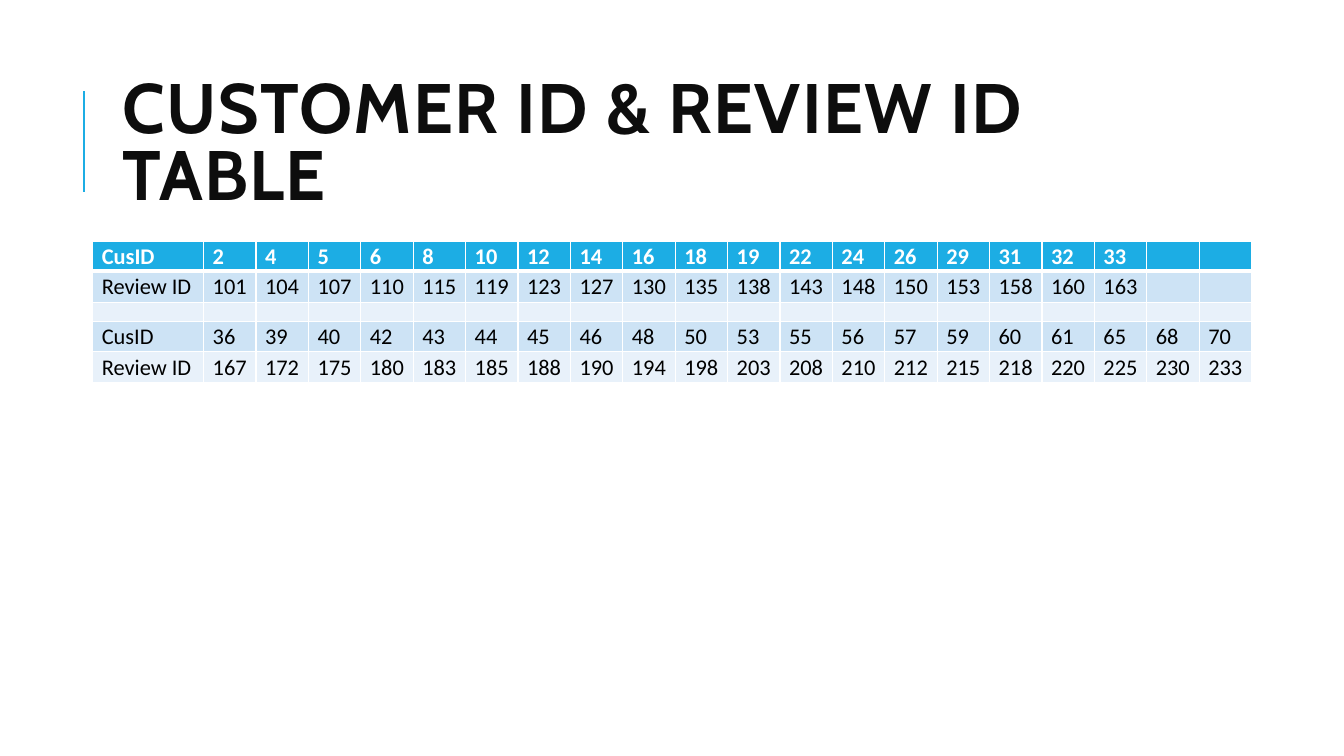
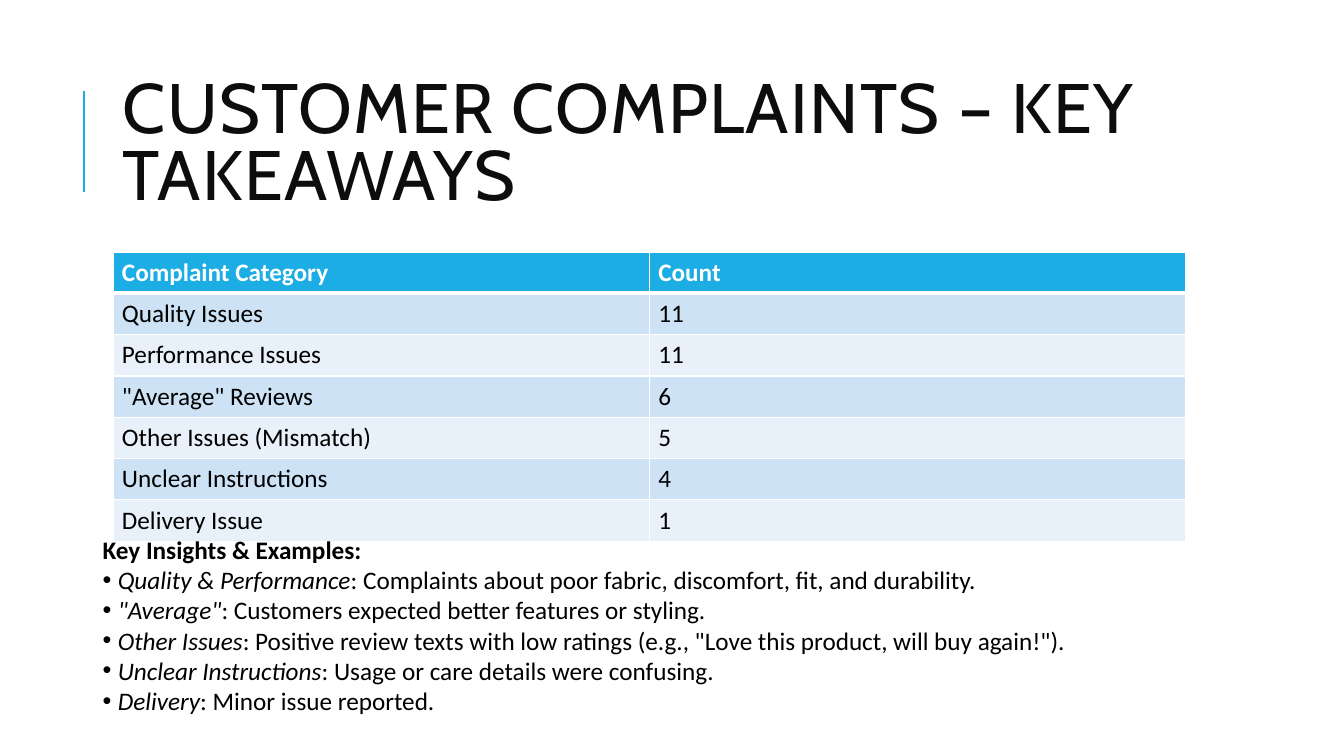
import dataclasses

import lxml.etree
import pptx
import pptx.dml.color
import pptx.enum.shapes
import pptx.enum.text
import pptx.oxml.ns
import pptx.util

Inches = pptx.util.Inches
Pt = pptx.util.Pt
qn = pptx.oxml.ns.qn
MIDDLE = pptx.enum.text.MSO_ANCHOR.MIDDLE


def rgb(value):
    return pptx.dml.color.RGBColor.from_string(value)


@dataclasses.dataclass(frozen=True)
class Theme:
    accent: str = "1CADE4"
    title_ink: str = "0D0D0D"
    ink: str = "000000"
    white: str = "FFFFFF"
    bands: tuple = ("CDE3F5", "E8F1FA")
    title_font: str = "Cabin"
    body_font: str = "Calibri"
    title_size: int = 50
    body_size: int = 18
    dense_size: int = 16
    empty_size: int = 10
    rule: float = 1.5
    grid: float = 1
    header_rule: float = 3


class Deck:
    def __init__(self, theme):
        self.theme = theme
        self.deck = pptx.Presentation()
        self.deck.slide_width = Inches(13.33)
        self.deck.slide_height = Inches(7.5)
        self.page = None

    def add_page(self, title, bold=False):
        """Start a slide with the shared accent rule and title."""
        theme = self.theme
        self.page = self.deck.slides.add_slide(self.deck.slide_layouts[6])
        rule = self.page.shapes.add_connector(
            pptx.enum.shapes.MSO_CONNECTOR.STRAIGHT,
            Inches(0.83), Inches(1.9), Inches(0.83), Inches(0.9))
        rule.line.color.rgb = rgb(theme.accent)
        rule.line.width = Pt(theme.rule)
        lxml.etree.SubElement(rule.element.spPr, qn("a:effectLst"))

        box = self.add_box(1.12, 0.64, 10.63, 1.64)
        box.text_frame.vertical_anchor = MIDDLE
        para = box.text_frame.paragraphs[0]
        para.line_spacing = 0.8
        self.add_span(para, title, theme.title_size, name=theme.title_font,
                      color=theme.title_ink, bold=bold)
        for properties in box.element.iter(qn("a:rPr")):
            properties.set("spc", "100")

    def add_box(self, left, top, width, height):
        box = self.page.shapes.add_textbox(*map(Inches, (left, top, width, height)))
        box.text_frame.word_wrap = True
        return box

    def add_span(self, para, text, size, color=None, **formats):
        span = para.add_run()
        span.text = text
        formats = {"name": self.theme.body_font, "size": Pt(size), **formats}
        for attribute, value in formats.items():
            setattr(span.font, attribute, value)
        span.font.color.rgb = rgb(color or self.theme.ink)

    def add_table(self, left, top, columns, heights, rows, size, margins):
        """Draw a banded table; rows shorter than the grid end in empty cells."""
        frame = self.page.shapes.add_table(
            len(heights), len(columns), Inches(left), Inches(top),
            Inches(sum(columns)), Inches(sum(heights)))
        table = frame.table
        for column, width in zip(table.columns, columns):
            column.width = Inches(width)
        for index, (row, height) in enumerate(zip(table.rows, heights)):
            row.height = Inches(height)
            texts = rows[index] + [""] * (len(columns) - len(rows[index]))
            for cell, text in zip(row.cells, texts):
                self.fill_cell(cell, text, index, size, margins)

    def fill_cell(self, cell, text, row, size, margins):
        theme = self.theme
        header = row == 0
        cell.vertical_anchor = MIDDLE
        for side, margin in zip(("left", "top", "right", "bottom"), margins):
            setattr(cell, f"margin_{side}", Inches(margin))

        # Borders come before the fill in the cell properties
        widths = {"lnL": theme.grid, "lnR": theme.grid,
                  "lnT": theme.header_rule if row == 1 else theme.grid,
                  "lnB": theme.header_rule if header else theme.grid}
        properties = cell._tc.get_or_add_tcPr()
        for tag, width in widths.items():
            border = lxml.etree.SubElement(properties, qn(f"a:{tag}"), w=str(Pt(width)))
            solid = lxml.etree.SubElement(border, qn("a:solidFill"))
            lxml.etree.SubElement(solid, qn("a:srgbClr"), val=theme.white)
        cell.fill.solid()
        cell.fill.fore_color.rgb = rgb(theme.accent if header else theme.bands[(row - 1) % 2])

        para = cell.text_frame.paragraphs[0]
        if text:
            self.add_span(para, text, size, bold=header,
                          color=theme.white if header else theme.ink)
        else:
            # A small end mark keeps empty rows low
            lxml.etree.SubElement(para._p, qn("a:endParaRPr"),
                                  sz=str(theme.empty_size * 100))

    def add_insights(self, left, top, width, height, heading, insights):
        """Write a bold heading followed by bullets with italic lead-ins."""
        size = self.theme.body_size
        text_frame = self.add_box(left, top, width, height).text_frame
        self.add_span(text_frame.paragraphs[0], heading, size, bold=True)
        for lead, detail in insights:
            para = text_frame.add_paragraph()
            properties = para._p.get_or_add_pPr()
            indent = Inches(0.15)
            properties.set("marL", str(indent))
            properties.set("indent", str(-indent))
            lxml.etree.SubElement(properties, qn("a:buFont"), typeface="Arial")
            lxml.etree.SubElement(properties, qn("a:buChar"), char="•")
            self.add_span(para, lead, size, italic=True)
            self.add_span(para, f": {detail}", size)


def main():
    theme = Theme()
    deck = Deck(theme)

    # Customer and review numbers
    deck.add_page("CUSTOMER ID & REVIEW ID TABLE", bold=True)
    id_rows = [
        "2 4 5 6 8 10 12 14 16 18 19 22 24 26 29 31 32 33",
        "101 104 107 110 115 119 123 127 130 135 138 143 148 150 153 158 160 163",
        "",
        "36 39 40 42 43 44 45 46 48 50 53 55 56 57 59 60 61 65 68 70",
        "167 172 175 180 183 185 188 190 194 198 203 208 210 212 215 218 220 225 230 233",
    ]
    labels = ["CusID", "Review ID", "", "CusID", "Review ID"]
    deck.add_table(
        0.92, 2.39, [1.1] + [0.52] * 20, [0.3, 0.31, 0.19, 0.3, 0.31],
        [[label] + numbers.split() for label, numbers in zip(labels, id_rows)],
        theme.dense_size, (0.09, 0.01, 0.01, 0))

    # Complaint counts and insights
    deck.add_page("CUSTOMER COMPLAINTS – KEY TAKEAWAYS")
    complaints = [
        ["Complaint Category", "Count"],
        ["Quality Issues", "11"],
        ["Performance Issues", "11"],
        ['"Average" Reviews', "6"],
        ["Other Issues (Mismatch)", "5"],
        ["Unclear Instructions", "4"],
        ["Delivery Issue", "1"],
    ]
    deck.add_table(1.12, 2.5, [5.32] * 2, [0.41] * len(complaints), complaints,
                   theme.body_size, (0.09, 0.05, 0.09, 0.05))
    deck.add_insights(0.92, 5.25, 11.5, 2.22, "Key Insights & Examples:", [
        ("Quality & Performance",
         "Complaints about poor fabric, discomfort, fit, and durability."),
        ('"Average"', "Customers expected better features or styling."),
        ("Other Issues",
         'Positive review texts with low ratings (e.g., "Love this product, will buy again!").'),
        ("Unclear Instructions", "Usage or care details were confusing."),
        ("Delivery", "Minor issue reported."),
    ])

    deck.deck.save("out.pptx")


if __name__ == "__main__":
    main()
